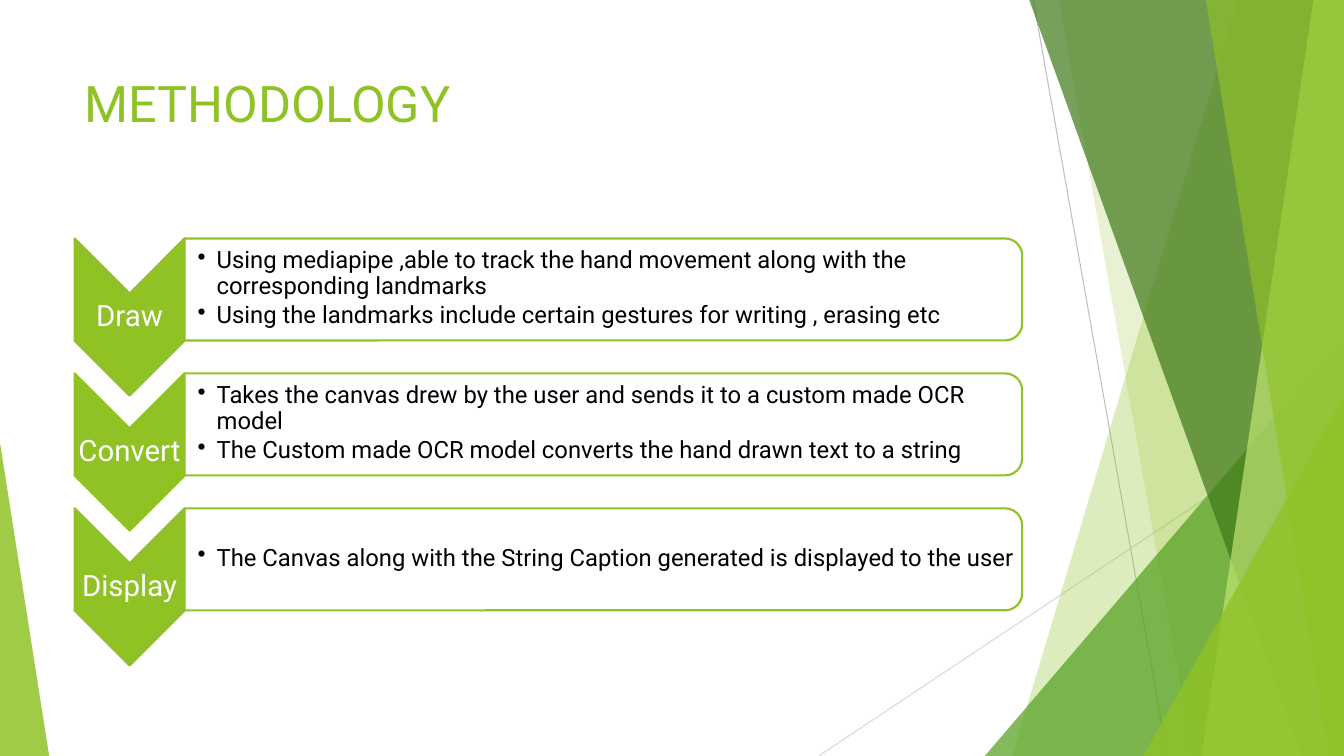
from dataclasses import dataclass

from lxml import etree
from pptx import Presentation
from pptx.dml.color import RGBColor
from pptx.enum.shapes import MSO_CONNECTOR as CONN, MSO_SHAPE as SHAPE
from pptx.enum.text import MSO_ANCHOR as ANCHOR, PP_ALIGN as ALIGN
from pptx.oxml.ns import qn
from pptx.util import Cm, Pt


@dataclass(frozen=True)
class Theme:
    """Colours, font and type sizes of the slide."""
    green: str = "90C226"
    mid_green: str = "54A021"
    dark_green: str = "3F7819"
    pale_green: str = "C0E474"
    white: str = "FFFFFF"
    black: str = "000000"
    grey: str = "BFBFBF"
    light_grey: str = "D9D9D9"
    font: str = "Roboto"
    title: float = 36
    label: float = 21
    body: float = 17


T = Theme()
W, H = 33.87, 19.05

STEPS = [
    ("Draw", [
        "Using mediapipe ,able to track the hand movement along with the corresponding landmarks",
        "Using the landmarks include certain gestures for writing , erasing etc"]),
    ("Convert", [
        "Takes the canvas drew by the user and sends it to a custom made OCR model",
        "The Custom made OCR model converts the hand drawn text to a string"]),
    ("Display", [
        "The Canvas along with the String Caption generated is displayed to the user"]),
]


def paint(sp, color, alpha=100, line=None):
    """Give a shape its fill, opacity in percent and outline."""
    sp.shadow.inherit = False
    sp.fill.solid()
    sp.fill.fore_color.rgb = RGBColor.from_string(color)
    if alpha < 100:
        clr = sp.fill._xPr.find(qn("a:solidFill"))[0]
        etree.SubElement(clr, qn("a:alpha"), val=str(alpha * 1000))
    if line:
        sp.line.color.rgb = RGBColor.from_string(line)
        sp.line.width = Pt(1.5)
    else:
        sp.line.fill.background()


def add_line(s, x1, y1, x2, y2, color):
    """Draw a thin straight line."""
    c = s.shapes.add_connector(CONN.STRAIGHT, Cm(x1), Cm(y1), Cm(x2), Cm(y2))
    c.line.color.rgb = RGBColor.from_string(color)
    c.line.width = Pt(0.75)
    etree.SubElement(c._element.spPr, qn("a:effectLst"))


def add_facet(s, x, y, w, h, top, bottom, color, alpha):
    """Draw a facet with a slanted left edge inside the box."""
    fb = s.shapes.build_freeform(Cm(x + top), Cm(y))
    fb.add_line_segments([(Cm(x + w), Cm(y)), (Cm(x + w), Cm(y + h)),
                          (Cm(x + bottom), Cm(y + h))], close=True)
    paint(fb.convert_to_shape(), color, alpha)


def add_triangle(s, x, y, w, h, apex, color, alpha):
    """Draw a triangle whose apex sits at the given share of its width."""
    sp = s.shapes.add_shape(SHAPE.ISOSCELES_TRIANGLE, Cm(x), Cm(y), Cm(w), Cm(h))
    sp.adjustments[0] = apex
    paint(sp, color, alpha)


def add_turned(s, kind, x, y, w, h):
    """Add a shape turned by 90 degrees that fills the visible box."""
    sp = s.shapes.add_shape(kind, Cm(x + (w - h) / 2), Cm(y + (h - w) / 2), Cm(h), Cm(w))
    sp.rotation = 90
    return sp


def add_text(s, x, y, w, h, lines, size, color, anchor=ANCHOR.MIDDLE, insets=(0.03,) * 4):
    """Add a wrapping text box with one paragraph per line."""
    tf = s.shapes.add_textbox(Cm(x), Cm(y), Cm(w), Cm(h)).text_frame
    tf.word_wrap = True
    tf.vertical_anchor = anchor
    tf.margin_left, tf.margin_top, tf.margin_right, tf.margin_bottom = map(Cm, insets)
    tf.text = "\n".join(lines)
    for p in tf.paragraphs:
        for r in p.runs:
            r.font.name = T.font
            r.font.size = Pt(size)
            r.font.color.rgb = RGBColor.from_string(color)
    return tf


def add_bullet(p, indent):
    """Set a hanging bullet on a paragraph."""
    pPr = p._p.get_or_add_pPr()
    pPr.set("marL", str(Cm(indent)))
    pPr.set("indent", str(-Cm(indent)))
    etree.SubElement(pPr, qn("a:buChar"), char="•")


def draw_backdrop(s, x, y, w, h):
    """Draw the green facets along both edges of the box."""
    right, bottom = x + w, y + h
    add_line(s, right - 7.83, y, right - 4.45, bottom, T.grey)
    add_line(s, right, y + 10.24, right - 13.24, bottom, T.light_grey)
    add_facet(s, right - 8.36, y, 8.36, h, 5.69, 0, T.green, 30)
    add_facet(s, right - 7.19, y, 7.19, h, 0, 3.38, T.green, 20)
    add_triangle(s, right - 9.05, bottom - 10.59, 9.05, 10.59, 1, T.mid_green, 72)
    add_facet(s, right - 7.93, y, 7.93, h, 0, 6.86, T.dark_green, 70)
    add_facet(s, right - 3.59, y, 3.59, h, 2.82, 0, T.pale_green, 70)
    add_facet(s, right - 3.48, y, 3.48, h, 0, 3.1, T.green, 65)
    add_triangle(s, right - 5.06, bottom - 9.07, 5.06, 9.07, 1, T.green, 80)
    add_triangle(s, x, bottom - 7.9, 1.24, 7.9, 0, T.green, 85)


def draw_step(s, x, y, w, h, label, points):
    """Draw one step: a downward chevron with a bulleted panel beside it."""
    arrow_w, panel_h = 2.77, 2.57
    paint(add_turned(s, SHAPE.CHEVRON, x, y, arrow_w, h), T.green, line=T.green)
    tf = add_text(s, x, y + 1.38, arrow_w, 1.19, [label], T.label, T.white)
    tf.paragraphs[0].alignment = ALIGN.CENTER
    tf.paragraphs[0].line_spacing = 0.9

    px, pw = x + arrow_w, w - arrow_w
    panel = add_turned(s, SHAPE.ROUND_2_SAME_RECTANGLE, px, y, pw, panel_h)
    paint(panel, T.white, 90, T.green)
    tf = add_text(s, px, y + 0.11, pw - 0.13, panel_h - 0.26, points, T.body, T.black,
                  insets=(0.33, 0.03, 0.03, 0.03))
    for p in tf.paragraphs:
        p.line_spacing = 0.9
        p.space_after = Pt(2.5)
        add_bullet(p, 0.48)


def draw_steps(s, x, y, w, steps, pitch=3.4, step_h=3.96):
    """Stack the steps at an equal pitch."""
    for i, (label, points) in enumerate(steps):
        draw_step(s, x, y + i * pitch, w, step_h, label, points)


def main():
    """Build the slide and save it."""
    prs = Presentation()
    prs.slide_width, prs.slide_height = Cm(W), Cm(H)
    s = prs.slides.add_slide(prs.slide_layouts[6])
    draw_backdrop(s, 0, 0, W, H)
    add_text(s, 1.88, 1.7, 23.88, 3.66, ["METHODOLOGY"], T.title, T.green,
             ANCHOR.TOP, (0.25, 0.13, 0.25, 0.13))
    draw_steps(s, 1.88, 6.01, 23.88, STEPS)
    prs.save("out.pptx")


if __name__ == "__main__":
    main()
